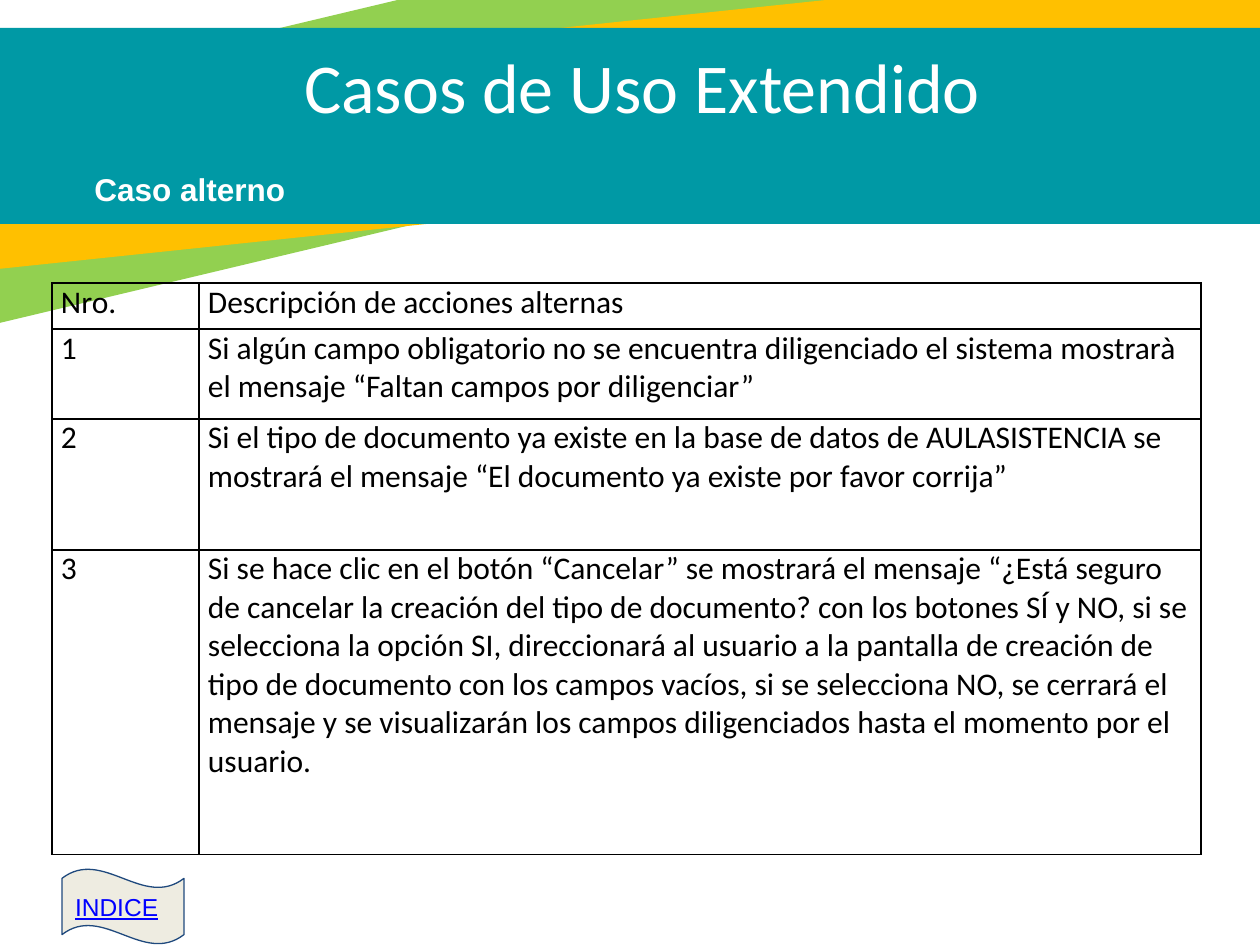
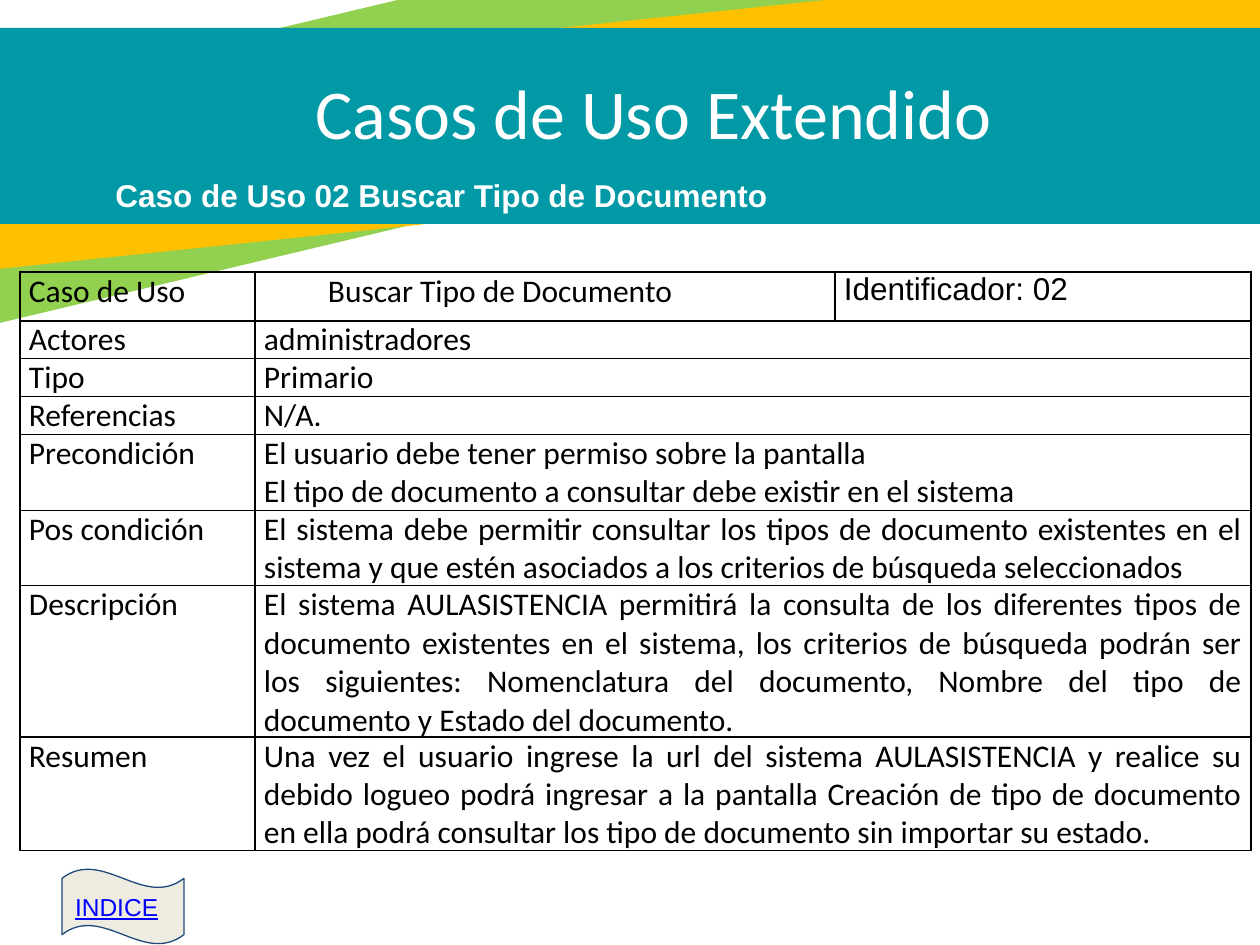
from lxml import etree
from pptx import Presentation
from pptx import util as u
from pptx.dml.color import RGBColor
from pptx.enum import shapes, text
from pptx.oxml.ns import qn

GREEN = RGBColor(0x92, 0xD0, 0x50)
AMBER = RGBColor(0xFF, 0xC0, 0x00)
TEAL = RGBColor(0x00, 0x99, 0xA5)
CREAM = RGBColor(0xEE, 0xEC, 0xE1)
NAVY = RGBColor(0x1F, 0x49, 0x7D)
BLUE = RGBColor(0x00, 0x00, 0xFF)
WHITE = RGBColor(0xFF, 0xFF, 0xFF)
BLACK = RGBColor(0x00, 0x00, 0x00)

SCALE = 914400 / 126
LEFT = text.PP_ALIGN.LEFT
CENTER = text.PP_ALIGN.CENTER
JUSTIFY = text.PP_ALIGN.JUSTIFY

BANDS = [
    ((-316, -23, 1646, 222), 346.6, GREEN),
    ((-139, 25, 1465, 181), 354, AMBER),
    ((-134, 28, 1465, 196), 0, TEAL),
]

SLIDES = [
    {
        "title_box": (73, 37, 1138, 97),
        "subtitle": "Caso alterno",
        "subtitle_box": (82, 164, 621, 50),
        "table_at": (52, 283),
        "columns": [147, 1002],
        "row_heights": [46, 90, 131, 305],
        "align": LEFT,
        "rows": [
            ["Nro.", "Descripción de acciones alternas"],
            ["1", "Si algún campo obligatorio no se encuentra diligenciado el sistema mostrarà "
                  "el mensaje “Faltan campos por diligenciar”"],
            ["2", "Si el tipo de documento ya existe en la base de datos de AULASISTENCIA se "
                  "mostrará el mensaje “El documento ya existe por favor corrija”"],
            ["3", "Si se hace clic en el botón “Cancelar” se mostrará el mensaje “¿Está seguro "
                  "de cancelar la creación del tipo de documento? con los botones SÍ y NO, si se "
                  "selecciona la opción SI, direccionará al usuario a la pantalla de creación de "
                  "tipo de documento con los campos vacíos, si se selecciona NO, se cerrará el "
                  "mensaje y se visualizarán los campos diligenciados hasta el momento por el "
                  "usuario."],
        ],
    },
    {
        "title_box": (91, 63, 1125, 97),
        "subtitle": "Caso de Uso 02 Buscar Tipo de Documento",
        "subtitle_box": (103, 170, 757, 50),
        "table_at": (20, 272),
        "columns": [235, 580, 416],
        "row_heights": [49, 37, 37, 37, 75, 75, 151, 113],
        "align": JUSTIFY,
        "rows": [
            ["Caso de Uso", "Buscar Tipo de Documento", "Identificador: 02"],
            ["Actores", "administradores"],
            ["Tipo", "Primario"],
            ["Referencias", "N/A."],
            ["Precondición", "El usuario debe tener permiso sobre la pantalla\n"
                             "El tipo de documento a consultar debe existir en el sistema"],
            ["Pos condición", "El sistema debe permitir consultar los tipos de documento existentes "
                              "en el sistema y que estén asociados a los criterios de búsqueda "
                              "seleccionados"],
            ["Descripción", "El sistema AULASISTENCIA permitirá la consulta de los diferentes tipos "
                            "de documento existentes en el sistema, los criterios de búsqueda podrán "
                            "ser los siguientes: Nomenclatura del documento, Nombre del tipo de "
                            "documento y Estado del documento."],
            ["Resumen", "Una vez el usuario ingrese la url del sistema AULASISTENCIA y realice su "
                        "debido logueo podrá ingresar a la pantalla Creación de tipo de documento "
                        "en ella podrá consultar los tipo de documento sin importar su estado."],
        ],
    },
]


def px(*lengths):
    return [u.Emu(round(length * SCALE)) for length in lengths]


def write(frame, words, font, size, color, align=LEFT, bold=False):
    frame.word_wrap = True
    frame.text = words
    for paragraph in frame.paragraphs:
        paragraph.alignment = align
        paragraph.font.name = font
        paragraph.font.size = u.Pt(size)
        paragraph.font.color.rgb = color
        paragraph.font.bold = bold


presentation = Presentation()
presentation.slide_width, presentation.slide_height = px(1260, 945)

for content in SLIDES:
    slide = presentation.slides.add_slide(presentation.slide_layouts[6])

    for box, rotation, color in BANDS:
        band = slide.shapes.add_shape(shapes.MSO_SHAPE.RECTANGLE, *px(*box))
        band.rotation = rotation
        band.shadow.inherit = False
        band.fill.solid()
        band.fill.fore_color.rgb = color
        band.line.fill.background()

    title = slide.shapes.add_textbox(*px(*content["title_box"]))
    write(title.text_frame, "Casos de Uso Extendido", "Calibri", 40, WHITE, CENTER)
    subtitle = slide.shapes.add_textbox(*px(*content["subtitle_box"]))
    write(subtitle.text_frame, content["subtitle"], "Arial", 18, WHITE, bold=True)

    columns, heights = content["columns"], content["row_heights"]
    table = slide.shapes.add_table(
        len(heights), len(columns),
        *px(*content["table_at"], sum(columns), sum(heights))).table
    table.first_row = table.horz_banding = False
    for column, width in zip(table.columns, px(*columns)):
        column.width = width
    for row, height, words in zip(table.rows, px(*heights), content["rows"]):
        row.height = height
        cells = list(row.cells)
        for cell in cells:
            cell.margin_left, cell.margin_right = px(9, 9)
            cell.margin_top = cell.margin_bottom = 0
            properties = cell._tc.get_or_add_tcPr()
            for side in ("lnL", "lnR", "lnT", "lnB"):
                border = etree.SubElement(properties, qn(f"a:{side}"), w=str(u.Pt(0.75)))
                fill = etree.SubElement(border, qn("a:solidFill"))
                etree.SubElement(fill, qn("a:srgbClr"), val=str(BLACK))
            cell.fill.background()
        if len(words) < len(cells):
            cells[len(words) - 1].merge(cells[-1])
        for cell, entry in zip(cells, words):
            font = "Arial" if entry.startswith("Identificador") else "Calibri"
            write(cell.text_frame, entry, font, 18, BLACK, content["align"])
            if entry == "Buscar Tipo de Documento":
                cell.margin_left, = px(73)

    index = slide.shapes.add_shape(shapes.MSO_SHAPE.WAVE, *px(62, 869, 122, 75))
    index.shadow.inherit = False
    index.fill.solid()
    index.fill.fore_color.rgb = CREAM
    index.line.color.rgb = NAVY
    index.line.width = u.Pt(0.75)
    frame = index.text_frame
    frame.margin_left, frame.margin_top, frame.margin_right, frame.margin_bottom = px(13, 13, 13, 13)
    frame.vertical_anchor = text.MSO_ANCHOR.MIDDLE
    write(frame, "INDICE", "Arial", 14, BLUE)
    frame.paragraphs[0].font.underline = True

presentation.save("out.pptx")
